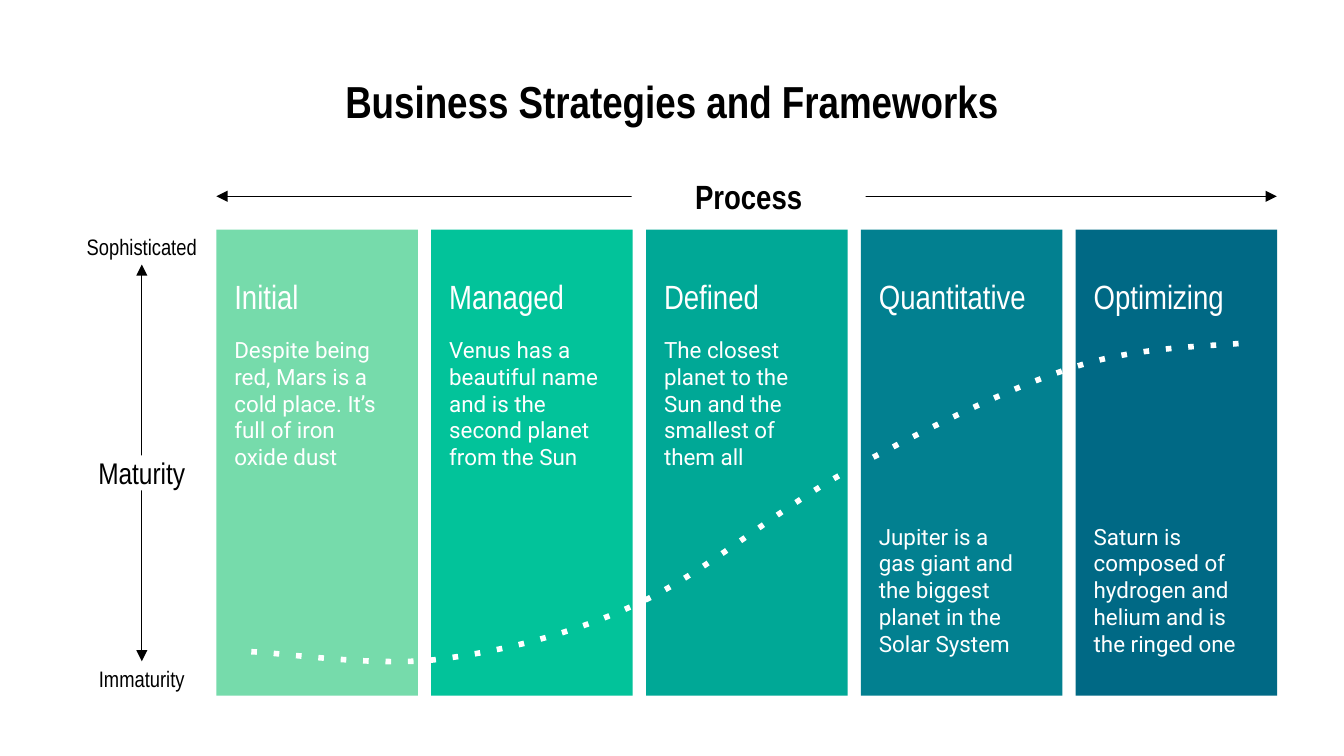
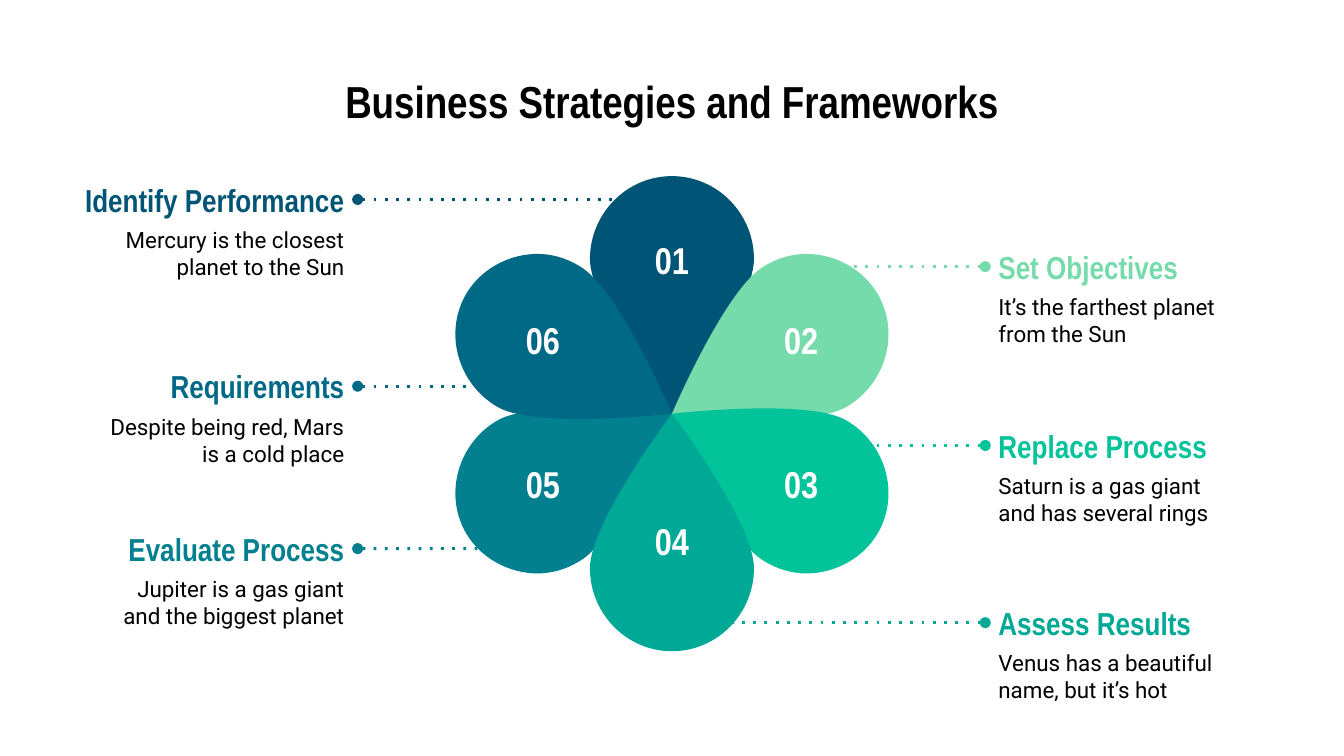
from pptx import Presentation
from pptx.dml.color import RGBColor
from pptx.enum.shapes import MSO_CONNECTOR, MSO_SHAPE
from pptx.enum.text import MSO_ANCHOR, PP_ALIGN
from pptx.oxml.ns import qn
from pptx.oxml.xmlchemy import OxmlElement
from pptx.util import Cm, Pt

BLACK = RGBColor(0x00, 0x00, 0x00)
WHITE = RGBColor(0xFF, 0xFF, 0xFF)
MINT = RGBColor(0x76, 0xDB, 0xAB)
GREEN = RGBColor(0x02, 0xC3, 0x9A)
TEAL = RGBColor(0x00, 0xA8, 0x96)
CYAN = RGBColor(0x02, 0x80, 0x90)
BLUE = RGBColor(0x00, 0x69, 0x85)
NAVY = RGBColor(0x00, 0x54, 0x75)

HEAD_FONT = "Arial Narrow"
BODY_FONT = "Roboto"
TITLE = "Business Strategies and Frameworks"

BAR_LEFT, BAR_TOP, BAR_W, BAR_H, BAR_PITCH = 4.09, 4.34, 3.81, 8.81, 4.06
UPPER, LOWER = 6.25, 9.78
STAGES = [
    ("Initial", "Despite being red, Mars is a cold place. It’s full of iron oxide dust", MINT, UPPER),
    ("Managed", "Venus has a beautiful name and is the second planet from the Sun", GREEN, UPPER),
    ("Defined", "The closest planet to the Sun and the smallest of them all", TEAL, UPPER),
    ("Quantitative", "Jupiter is a gas giant and the biggest planet in the Solar System", CYAN, LOWER),
    ("Optimizing", "Saturn is composed of hydrogen and helium and is the ringed one", BLUE, LOWER),
]
GROWTH_CURVE = [
    (4.75, 12.32),
    (5.33, 12.34), (7.01, 12.6), (8.23, 12.47),
    (9.45, 12.32), (10.74, 12.01), (12.01, 11.43),
    (13.31, 10.85), (14.58, 9.7), (15.95, 8.94),
    (17.32, 8.2), (18.97, 7.37), (20.24, 6.96),
    (21.51, 6.53), (22.99, 6.55), (23.55, 6.48),
]

FLOWER_X, FLOWER_Y = 12.7, 7.82
UPRIGHT_PETAL = [
    (0, -4.49),
    (-0.86, -4.49), (-1.55, -3.78), (-1.55, -2.92),
    (-1.55, -2.06), (0, 0), (0, 0),
    (0, 0), (1.55, -2.06), (1.55, -2.92),
    (1.55, -3.78), (0.86, -4.49), (0, -4.49),
]
SIDE_PETAL = [
    (2.54, -3.02),
    (2.29, -3.02), (2.01, -2.95), (1.75, -2.79),
    (1.02, -2.39), (0, 0), (0, 0),
    (0, 0), (0.89, 0.1), (1.75, 0.1),
    (2.36, 0.1), (3, 0.05), (3.3, -0.13),
    (4.04, -0.56), (4.32, -1.52), (3.89, -2.26),
    (3.61, -2.74), (3.07, -3.02), (2.54, -3.02),
]
PETALS = [
    ("05", SIDE_PETAL, -1, -1, CYAN, 9.47, 8.86),
    ("01", UPRIGHT_PETAL, 1, 1, NAVY, 11.91, 4.62),
    ("02", SIDE_PETAL, 1, 1, MINT, 14.35, 6.12),
    ("03", SIDE_PETAL, 1, -1, GREEN, 14.35, 8.86),
    ("04", UPRIGHT_PETAL, 1, -1, TEAL, 11.91, 9.93),
    ("06", SIDE_PETAL, -1, 1, BLUE, 9.47, 6.12),
]

CALLOUT_W, CALLOUT_H, CALLOUT_BODY_W = 5.49, 0.58, 4.96
LEFT_EDGE, RIGHT_EDGE = 6.76, 18.62
LEFT_CALLOUTS = [
    ("Identify Performance", "Mercury is the closest planet to the Sun", NAVY, 3.48, 12.73),
    ("Requirements", "Despite being red, Mars is a cold place", BLUE, 7.01, 10.31),
    ("Evaluate Process", "Jupiter is a gas giant and the biggest planet", CYAN, 10.08, 10.26),
]
RIGHT_CALLOUTS = [
    ("Set Objectives", "It’s the farthest planet from the Sun", MINT, 4.75, 15.39),
    ("Replace Process", "Saturn is a gas giant and has several rings", GREEN, 8.13, 15.21),
    ("Assess Results", "Venus has a beautiful name, but it’s hot", TEAL, 11.48, 13.41),
]


def write(sp, text, size, color, font=HEAD_FONT, bold=False,
          align=PP_ALIGN.LEFT, anchor=MSO_ANCHOR.MIDDLE):
    """Write one styled run into a shape with even insets."""
    tf = sp.text_frame
    tf.word_wrap = True
    tf.vertical_anchor = anchor
    tf.margin_left = tf.margin_right = tf.margin_top = tf.margin_bottom = Cm(0.25)
    p = tf.paragraphs[0]
    p.alignment = align
    r = p.add_run()
    r.text = text
    r.font.name = font
    r.font.size = Pt(size)
    r.font.bold = bold
    r.font.color.rgb = color


def add_text(s, x, y, w, h, text, size, color, **style):
    """Add a text box."""
    sp = s.shapes.add_textbox(Cm(x), Cm(y), Cm(w), Cm(h))
    write(sp, text, size, color, **style)
    return sp


def add_box(s, x, y, w, h, color):
    """Add a plain filled rectangle."""
    sp = s.shapes.add_shape(MSO_SHAPE.RECTANGLE, Cm(x), Cm(y), Cm(w), Cm(h))
    sp.shadow.inherit = False
    sp.fill.solid()
    sp.fill.fore_color.rgb = color
    sp.line.fill.background()
    return sp


def add_label(s, x, y, w, text, size, bold=False):
    """Add an axis label on a white box."""
    sp = add_box(s, x, y, w, 0.66, WHITE)
    write(sp, text, size, BLACK, bold=bold, align=PP_ALIGN.CENTER)
    return sp


def style_line(sp, color, width, **marks):
    """Set line colour and width, then dash and arrowheads by element name."""
    sp.line.color.rgb = color
    sp.line.width = Pt(width)
    ln = sp.element.spPr.find(qn("a:ln"))
    for tag, value in marks.items():
        mark = OxmlElement(f"a:{tag}")
        mark.set("val" if tag == "prstDash" else "type", value)
        ln.append(mark)


def add_line(s, x1, y1, x2, y2, color, width, **marks):
    """Add a straight connector without a shadow."""
    sp = s.shapes.add_connector(MSO_CONNECTOR.STRAIGHT, Cm(x1), Cm(y1), Cm(x2), Cm(y2))
    style_line(sp, color, width, **marks)
    sp.element.spPr.append(OxmlElement("a:effectLst"))
    return sp


def add_curve(s, points, close):
    """Add a freeform of cubic curves: a start, then three points a segment."""
    start, *rest = [(Cm(x), Cm(y)) for x, y in points]
    builder = s.shapes.build_freeform(*start)
    builder.add_line_segments(rest, close=close)
    sp = builder.convert_to_shape()
    sp.shadow.inherit = False
    steps = list(sp.element.iter(qn("a:lnTo")))
    for i in range(0, len(steps), 3):
        bezier = OxmlElement("a:cubicBezTo")
        steps[i].addprevious(bezier)
        for step in steps[i:i + 3]:
            bezier.append(step[0])
            step.getparent().remove(step)
    return sp


def add_petal(s, outline, flip_x, flip_y, color):
    """Add one petal mirrored about the flower's centre."""
    points = [(FLOWER_X + flip_x * x, FLOWER_Y + flip_y * y) for x, y in outline]
    sp = add_curve(s, points, True)
    sp.fill.solid()
    sp.fill.fore_color.rgb = color
    sp.line.fill.background()


def add_stage(s, i, name, body, color, body_top):
    """Add one column of the maturity model."""
    x = BAR_LEFT + i * BAR_PITCH
    add_box(s, x, BAR_TOP, BAR_W, BAR_H, color)
    add_text(s, x + 0.09, 4.93, 3.66, 1.35, name, 18, WHITE)
    add_text(s, x + 0.09, body_top, 3.33, 2.74, body, 12, WHITE, font=BODY_FONT)


def add_callout(s, on_left, name, body, color, y, line_end):
    """Add a heading, its text and a dotted line towards a petal."""
    edge = LEFT_EDGE if on_left else RIGHT_EDGE
    align = PP_ALIGN.RIGHT if on_left else PP_ALIGN.LEFT
    add_text(s, edge - on_left * CALLOUT_BODY_W, y + 0.55, CALLOUT_BODY_W, 1.57, body, 12,
             BLACK, font=BODY_FONT, align=align, anchor=MSO_ANCHOR.TOP)
    heading = add_text(s, edge - on_left * CALLOUT_W, y, CALLOUT_W, CALLOUT_H, name, 17,
                       color, bold=True, align=align)
    middle = y + CALLOUT_H / 2
    line = add_line(s, edge, middle, line_end, middle, color, 1.5,
                    prstDash="dot", headEnd="oval")
    line.begin_connect(heading, 3 if on_left else 1)


def add_slide(prs):
    """Add a blank slide with the shared title."""
    s = prs.slides.add_slide(prs.slide_layouts[6])
    add_text(s, 1.27, 1.14, 22.86, 1.6, TITLE, 24, BLACK, bold=True,
             align=PP_ALIGN.CENTER, anchor=MSO_ANCHOR.TOP)
    return s


def build_maturity(prs):
    """Build the maturity model slide."""
    s = add_slide(prs)
    arrows = {"headEnd": "triangle", "tailEnd": "triangle"}
    add_line(s, 24.13, 3.71, BAR_LEFT, 3.71, BLACK, 0.75, **arrows)
    add_label(s, 11.94, 3.38, 4.42, "Process", 18, bold=True)
    top = add_label(s, 1.27, 4.34, 2.82, "Sophisticated", 12)
    bottom = add_label(s, 1.27, 12.5, 2.82, "Immaturity", 12)
    axis = add_line(s, 2.68, 12.5, 2.68, 5, BLACK, 0.75, **arrows)
    axis.begin_connect(bottom, 0)
    axis.end_connect(top, 2)
    add_label(s, 1.27, 8.61, 2.82, "Maturity", 16)
    for i, stage in enumerate(STAGES):
        add_stage(s, i, *stage)
    curve = add_curve(s, GROWTH_CURVE, False)
    curve.fill.background()
    style_line(curve, WHITE, 3, prstDash="dot")


def build_flower(prs):
    """Build the six-petal slide."""
    s = add_slide(prs)
    for _, outline, flip_x, flip_y, color, _, _ in PETALS:
        add_petal(s, outline, flip_x, flip_y, color)
    for number, *_, x, y in PETALS:
        add_text(s, x, y, 1.58, 0.58, number, 20, WHITE, bold=True, align=PP_ALIGN.CENTER)
    for callout in LEFT_CALLOUTS:
        add_callout(s, True, *callout)
    for callout in RIGHT_CALLOUTS:
        add_callout(s, False, *callout)


def main():
    """Build and save the presentation."""
    prs = Presentation()
    prs.slide_width, prs.slide_height = Cm(25.4), Cm(14.29)
    build_maturity(prs)
    build_flower(prs)
    prs.save("out.pptx")


if __name__ == "__main__":
    main()
